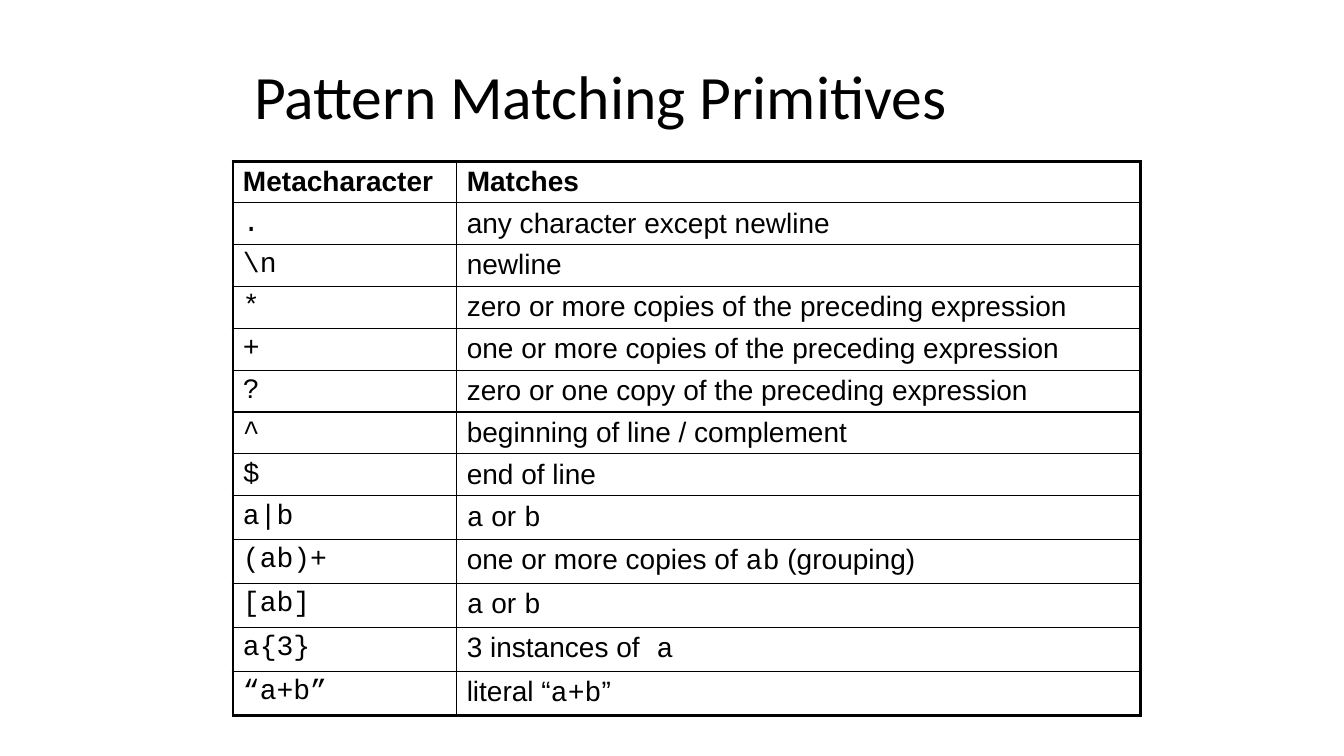
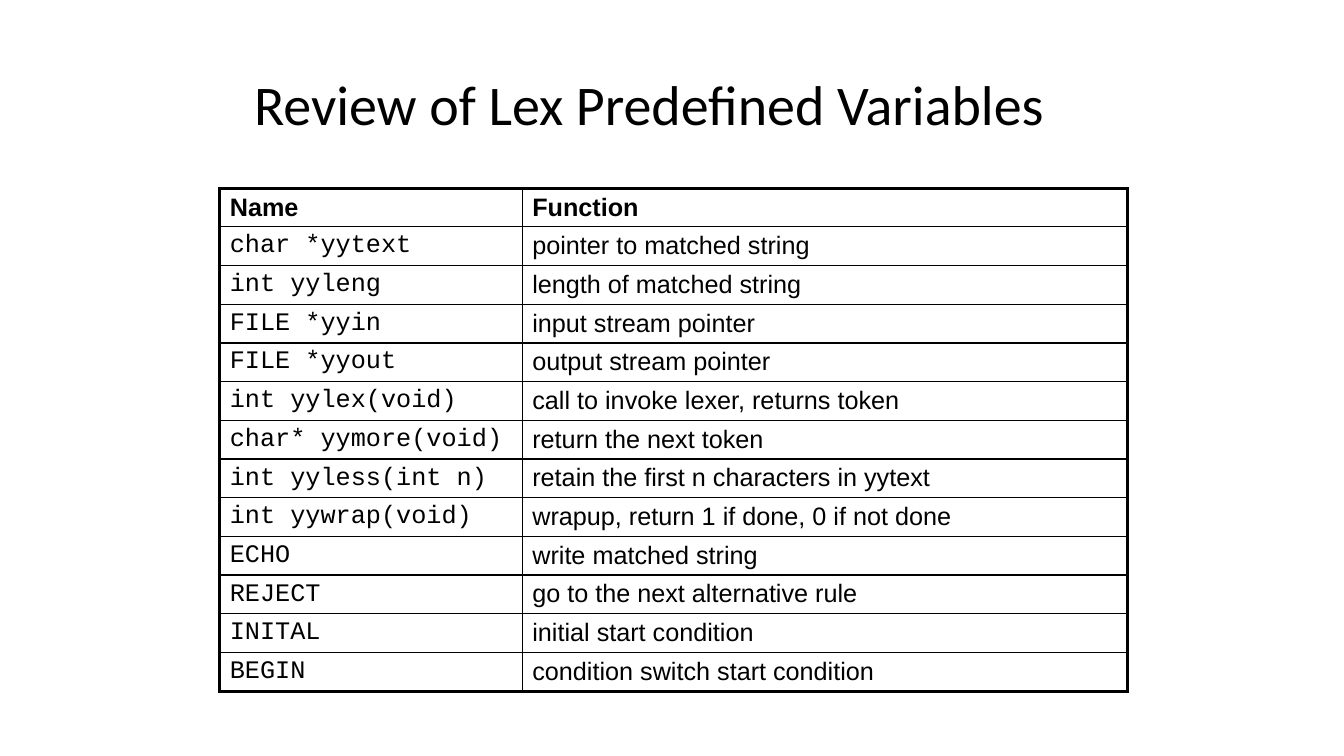
from lxml.etree import SubElement
from pptx import Presentation
from pptx.dml.color import RGBColor
from pptx.enum.text import MSO_ANCHOR, PP_ALIGN
from pptx.oxml.ns import qn
from pptx.util import Inches, Pt

COLORS = {"ink": "000000", "paper": "FFFFFF"}
FONTS = {"title": "Calibri", "prose": "Arial", "code": "Courier New"}
SLIDE_WIDTH, SLIDE_HEIGHT = Inches(13.33), Inches(7.5)
TITLE_LEFT, TITLE_WIDTH, TITLE_HEIGHT = Inches(2.42), Inches(8.5), Inches(1.25)
HEADER_HEIGHT, ROW_HEIGHT = Inches(0.34), Inches(0.37)
OUTER_LINE, INNER_LINE = Pt(2.25), Pt(1)
CODE_MARK = "`"

PRIMITIVES = [
    ("Metacharacter", "Matches"),
    ("`.`", "any character except newline"),
    ("`\\n`", "newline"),
    ("`*`", "zero or more copies of the preceding expression"),
    ("`+`", "one or more copies of the preceding expression"),
    ("`?`", "zero or one copy of the preceding expression"),
    ("`^`", "beginning of line / complement"),
    ("`$`", "end of line"),
    ("`a|b`", "`a` or `b`"),
    ("`(ab)+`", "one or more copies of `ab` (grouping)"),
    ("`[ab]`", "`a` or `b`"),
    ("`a{3}`", "3 instances of` a`"),
    ("`“a+b”`", "literal “`a+b`”"),
]

LEX_VARIABLES = [
    ("Name", "Function"),
    ("`char *yytext`", "pointer to matched string"),
    ("`int yyleng`", "length of matched string"),
    ("`FILE *yyin`", "input stream pointer"),
    ("`FILE *yyout`", "output stream pointer"),
    ("`int yylex(void)`", "call to invoke lexer, returns token"),
    ("`char* yymore(void)`", "return the next token"),
    ("`int yyless(int n)`", "retain the first n characters in yytext"),
    ("`int yywrap(void)`", "wrapup, return 1 if done, 0 if not done"),
    ("`ECHO`", "write matched string"),
    ("`REJECT`", "go to the next alternative rule"),
    ("`INITAL`", "initial start condition"),
    ("`BEGIN`", "condition switch start condition"),
]


def style_font(font, family, size, bold=False):
    font.name = FONTS[family]
    font.size = Pt(size)
    font.bold = bold
    font.color.rgb = RGBColor.from_string(COLORS["ink"])


def add_title(slide, wording, top, size):
    title = slide.shapes.title
    title.left, title.top = TITLE_LEFT, Inches(top)
    title.width, title.height = TITLE_WIDTH, TITLE_HEIGHT
    title.text_frame.text = wording
    title.text_frame.vertical_anchor = MSO_ANCHOR.MIDDLE
    heading = title.text_frame.paragraphs[0]
    heading.alignment = PP_ALIGN.LEFT
    heading.line_spacing = 0.9
    style_font(heading.runs[0].font, "title", size)


def add_border(cell, side, width):
    border = SubElement(cell._tc.get_or_add_tcPr(), qn(f"a:ln{side}"), w=str(width))
    ink = SubElement(border, qn("a:solidFill"))
    SubElement(ink, qn("a:srgbClr"), val=COLORS["ink"])


def write_cell(cell, wording, size, bold):
    paragraph = cell.text_frame.paragraphs[0]
    for index, part in enumerate(wording.split(CODE_MARK)):
        if part:
            run = paragraph.add_run()
            run.text = part
            style_font(run.font, "code" if index % 2 else "prose", size, bold)


def add_reference_table(slide, entries, left, top, column_widths, size):
    last_row, last_column = len(entries) - 1, len(column_widths) - 1
    table = slide.shapes.add_table(
        len(entries), len(column_widths), Inches(left), Inches(top),
        Inches(sum(column_widths)), HEADER_HEIGHT + last_row * ROW_HEIGHT,
    ).table
    table.first_row = table.horz_banding = False
    for column, width in zip(table.columns, column_widths):
        column.width = Inches(width)
    for r, entry in enumerate(entries):
        table.rows[r].height = ROW_HEIGHT if r else HEADER_HEIGHT
        for c, wording in enumerate(entry):
            cell = table.cell(r, c)
            write_cell(cell, wording, size, bold=r == 0)
            outer_sides = {"L": c == 0, "R": c == last_column,
                           "T": r == 0, "B": r == last_row}
            for side, is_outer in outer_sides.items():
                add_border(cell, side, OUTER_LINE if is_outer else INNER_LINE)
            cell.fill.solid()
            cell.fill.fore_color.rgb = RGBColor.from_string(COLORS["paper"])


def main():
    deck = Presentation()
    deck.slide_width, deck.slide_height = SLIDE_WIDTH, SLIDE_HEIGHT
    title_only = deck.slide_layouts[5]

    matching = deck.slides.add_slide(title_only)
    add_title(matching, "Pattern Matching Primitives", 0.36, 44)
    add_reference_table(matching, PRIMITIVES, 2.31, 1.6, (2.22, 6.78), 20)

    variables = deck.slides.add_slide(title_only)
    add_title(variables, "Review of Lex Predefined Variables", 0.44, 40)
    add_reference_table(variables, LEX_VARIABLES, 2.18, 1.87, (3, 6), 18)

    deck.save("out.pptx")


main()
